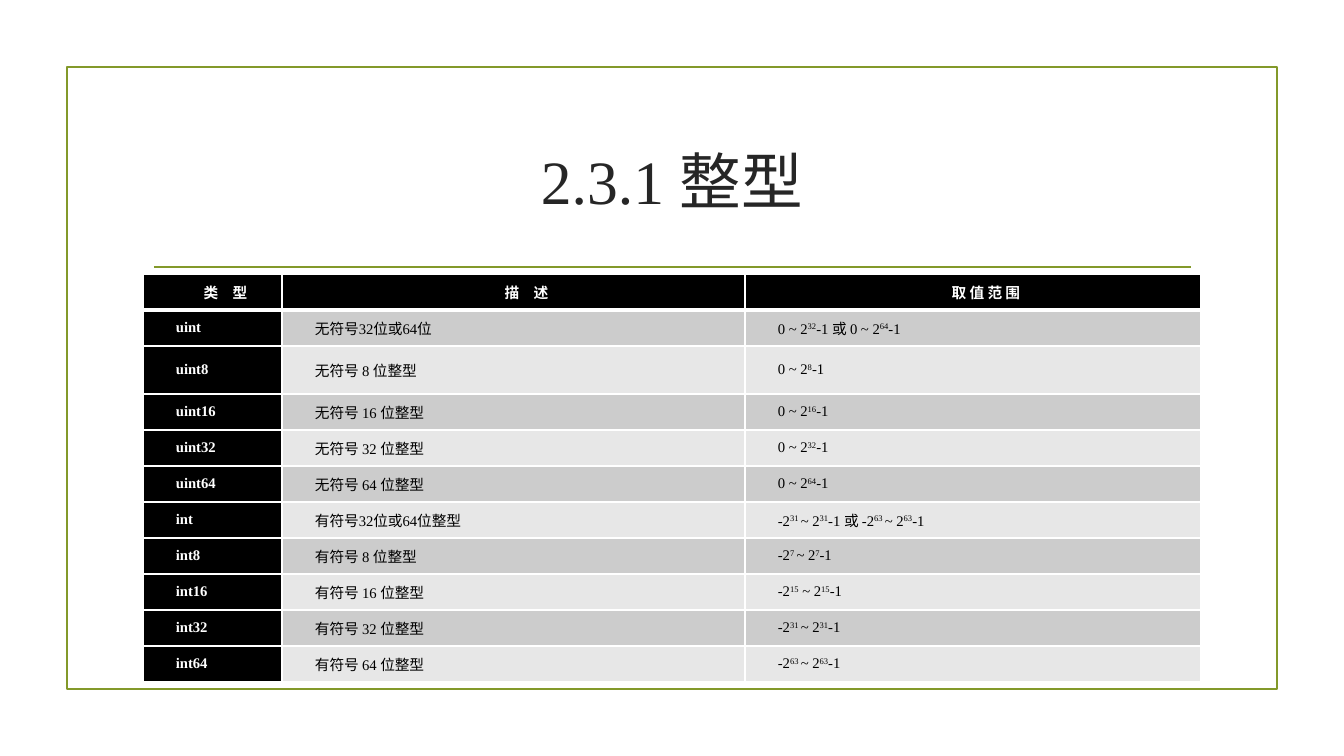
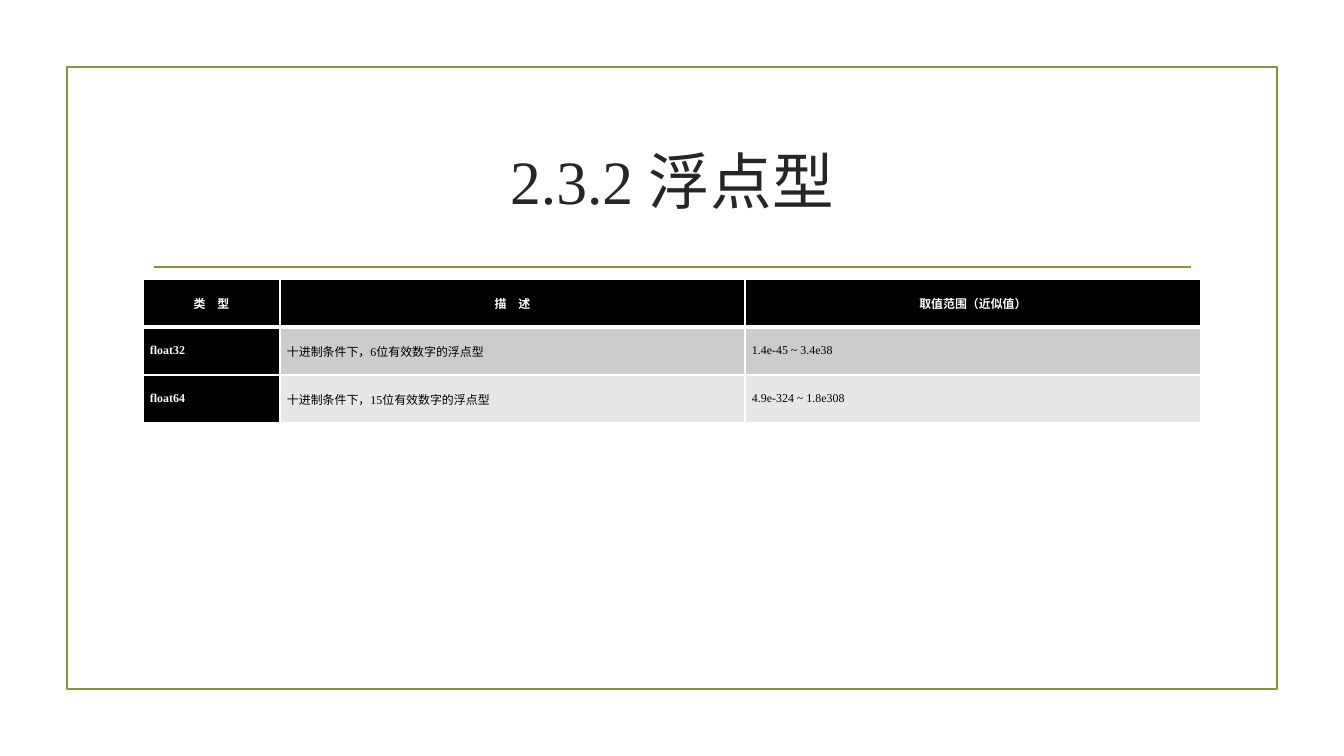
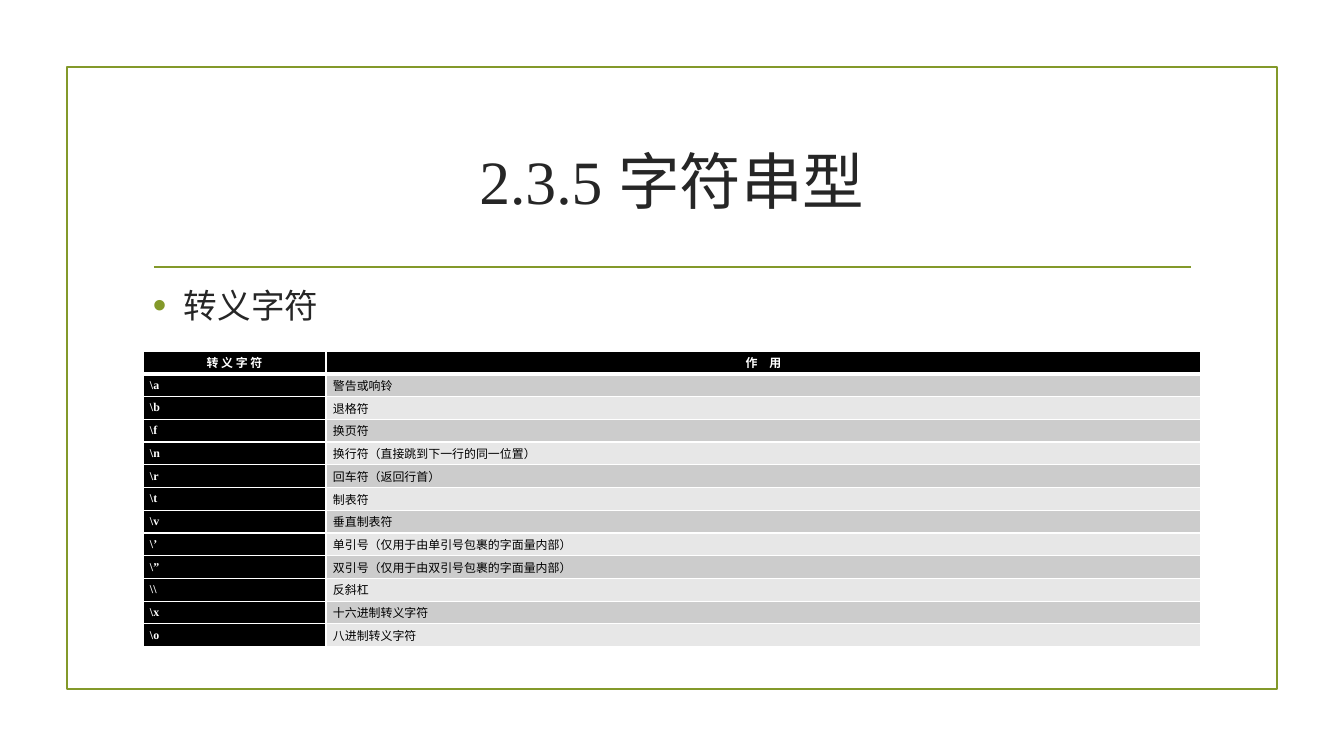
"""Three slides on Go data types: integers, floating point and string escapes."""
from lxml import etree
from pptx import Presentation
from pptx import util as u
from pptx.dml.color import RGBColor
from pptx.enum import shapes, text
from pptx.oxml.ns import qn

THEME = {
    "font": "Times New Roman",
    "accent": "83992A",
    "ink": "262626",
    "black": "000000",
    "white": "FFFFFF",
    "bands": ("CCCCCC", "E7E7E7"),
    "title_size": 44,
    "bullet_size": 24,
    "frame_line": 1.25,
    "cell_line": 1,
    "header_line": 3,
}
SUPER, GAP = "^", "|"
LEFT, WIDTH = 143, 1058

SLIDES = [
    {
        "title": "2.3.1 整型",
        "top": 274,
        "columns": (139, 463, 456),
        "heights": [36, 36, 48] + [36] * 8,
        "size": 10.5,
        "indent": 26,
        "rows": [
            ("类| |型", "描| |述", "取 值 范 围"),
            ("uint", "无符号32位或64位", "0 ~ 2^32^-1 或 0 ~ 2^64^-1"),
            ("uint8", "无符号 8 位整型", "0 ~ 2^8^-1"),
            ("uint16", "无符号 16 位整型", "0 ~ 2^16^-1"),
            ("uint32", "无符号 32 位整型", "0 ~ 2^32^-1"),
            ("uint64", "无符号 64 位整型", "0 ~ 2^64^-1"),
            ("int", "有符号32位或64位整型", "-2^31 ^~ 2^31^-1 或 -2^63 ^~ 2^63^-1"),
            ("int8", "有符号 8 位整型", "-2^7 ^~ 2^7^-1"),
            ("int16", "有符号 16 位整型", "-2^15^ ~ 2^15^-1"),
            ("int32", "有符号 32 位整型", "-2^31 ^~ 2^31^-1"),
            ("int64", "有符号 64 位整型", "-2^63 ^~ 2^63^-1"),
        ],
    },
    {
        "title": "2.3.2 浮点型",
        "top": 279,
        "columns": (137, 465, 456),
        "heights": [48] * 3,
        "size": 8.5,
        "indent": 0,
        "rows": [
            ("类| |型", "描| |述", "取值范围（近似值）"),
            ("float32", "十进制条件下，6位有效数字的浮点型", "1.4e-45 ~ 3.4e38"),
            ("float64", "十进制条件下，15位有效数字的浮点型", "4.9e-324 ~ 1.8e308"),
        ],
    },
    {
        "title": "2.3.5 字符串型",
        "bullet": "转义字符",
        "top": 351,
        "columns": (183, 875),
        "heights": [296 / 13] * 13,
        "size": 8.5,
        "indent": 0,
        "rows": [
            ("转 义 字 符", "作| |用"),
            ("\\a", "警告或响铃"),
            ("\\b", "退格符"),
            ("\\f", "换页符"),
            ("\\n", "换行符（直接跳到下一行的同一位置）"),
            ("\\r", "回车符（返回行首）"),
            ("\\t", "制表符"),
            ("\\v", "垂直制表符"),
            ("\\’", "单引号（仅用于由单引号包裹的字面量内部）"),
            ("\\”", "双引号（仅用于由双引号包裹的字面量内部）"),
            ("\\\\", "反斜杠"),
            ("\\x", "十六进制转义字符"),
            ("\\o", "八进制转义字符"),
        ],
    },
]


def px(length):
    return u.Emu(round(length * 914400 / 100.8))


def color(key):
    return RGBColor.from_string(THEME.get(key, key))


def style(font, size, ink, bold=False):
    font.name = THEME["font"]
    font.size = u.Pt(size)
    font.bold = bold
    font.color.rgb = color(ink)


def add_text(slide, words, top, height, anchor):
    frame = slide.shapes.add_textbox(px(LEFT), px(top), px(WIDTH), px(height)).text_frame
    frame.word_wrap = True
    frame.vertical_anchor = anchor
    frame.text = words
    return frame.paragraphs[0]


def add_scaffold(slide, title):
    frame = slide.shapes.add_shape(shapes.MSO_SHAPE.RECTANGLE, px(67), px(67), px(1210), px(622))
    frame.shadow.inherit = False
    frame.fill.background()
    rule = slide.shapes.add_connector(shapes.MSO_CONNECTOR.STRAIGHT, px(154), px(267), px(1191), px(267))
    etree.SubElement(rule.line._get_or_add_ln().getparent(), qn("a:effectLst"))
    for outline in (frame.line, rule.line):
        outline.color.rgb = color("accent")
        outline.width = u.Pt(THEME["frame_line"])
    heading = add_text(slide, title, 108, 144, text.MSO_ANCHOR.MIDDLE)
    heading.alignment = text.PP_ALIGN.CENTER
    style(heading.runs[0].font, THEME["title_size"], "ink")


def add_bullet(slide, words):
    point = add_text(slide, words, 280, 366, text.MSO_ANCHOR.TOP)
    props = point._p.get_or_add_pPr()
    props.set("marL", str(px(31)))
    props.set("indent", str(-px(31)))
    bullet_color = etree.SubElement(props, qn("a:buClr"))
    etree.SubElement(bullet_color, qn("a:srgbClr"), val=THEME["accent"])
    etree.SubElement(props, qn("a:buSzPct"), val="115000")
    etree.SubElement(props, qn("a:buFont"), typeface="Arial")
    etree.SubElement(props, qn("a:buChar"), char="•")
    style(point.runs[0].font, THEME["bullet_size"], "ink")


def set_borders(cell, row):
    props = cell._tc.get_or_add_tcPr()
    heavy = {"T": row == 1, "B": row == 0}
    for place, side in enumerate("LRTB"):
        points = THEME["header_line" if heavy.get(side) else "cell_line"]
        border = etree.Element(qn(f"a:ln{side}"), w=str(u.Pt(points)))
        fill = etree.SubElement(border, qn("a:solidFill"))
        etree.SubElement(fill, qn("a:srgbClr"), val=THEME["white"])
        props.insert(place, border)


def fill_cell(cell, words, row, column, size, indent):
    is_label = row == 0 or column == 0
    cell.fill.solid()
    cell.fill.fore_color.rgb = color("black" if is_label else THEME["bands"][(row - 1) % 2])
    set_borders(cell, row)
    cell.vertical_anchor = text.MSO_ANCHOR.MIDDLE
    cell.margin_left = cell.margin_right = px(7)
    cell.margin_top = cell.margin_bottom = 0
    line = cell.text_frame.paragraphs[0]
    line.alignment = text.PP_ALIGN.JUSTIFY if row else text.PP_ALIGN.CENTER
    line._p.get_or_add_pPr().set("indent", str(px(indent)))
    marker = SUPER if row else GAP
    for order, part in enumerate(words.split(marker)):
        run = line.add_run()
        run.text = part
        style(run.font, size, "white" if is_label else "black", is_label)
        if order % 2:
            props = run._r.get_or_add_rPr()
            if row:
                props.set("baseline", "30000")
            else:
                props.set("spc", str(round(size * 75)))


def add_types(slide, content):
    rows, columns, heights = content["rows"], content["columns"], content["heights"]
    grid = slide.shapes.add_table(
        len(rows), len(columns), px(LEFT), px(content["top"]), px(sum(columns)), px(sum(heights))
    ).table
    for column, width in zip(grid.columns, columns):
        column.width = px(width)
    for r, (row, height) in enumerate(zip(rows, heights)):
        grid.rows[r].height = px(height)
        for c, words in enumerate(row):
            fill_cell(grid.cell(r, c), words, r, c, content["size"], content["indent"])


def main():
    deck = Presentation()
    deck.slide_width, deck.slide_height = px(1344), px(756)
    for content in SLIDES:
        slide = deck.slides.add_slide(deck.slide_layouts[6])
        add_scaffold(slide, content["title"])
        if "bullet" in content:
            add_bullet(slide, content["bullet"])
        add_types(slide, content)
    deck.save("out.pptx")


if __name__ == "__main__":
    main()
